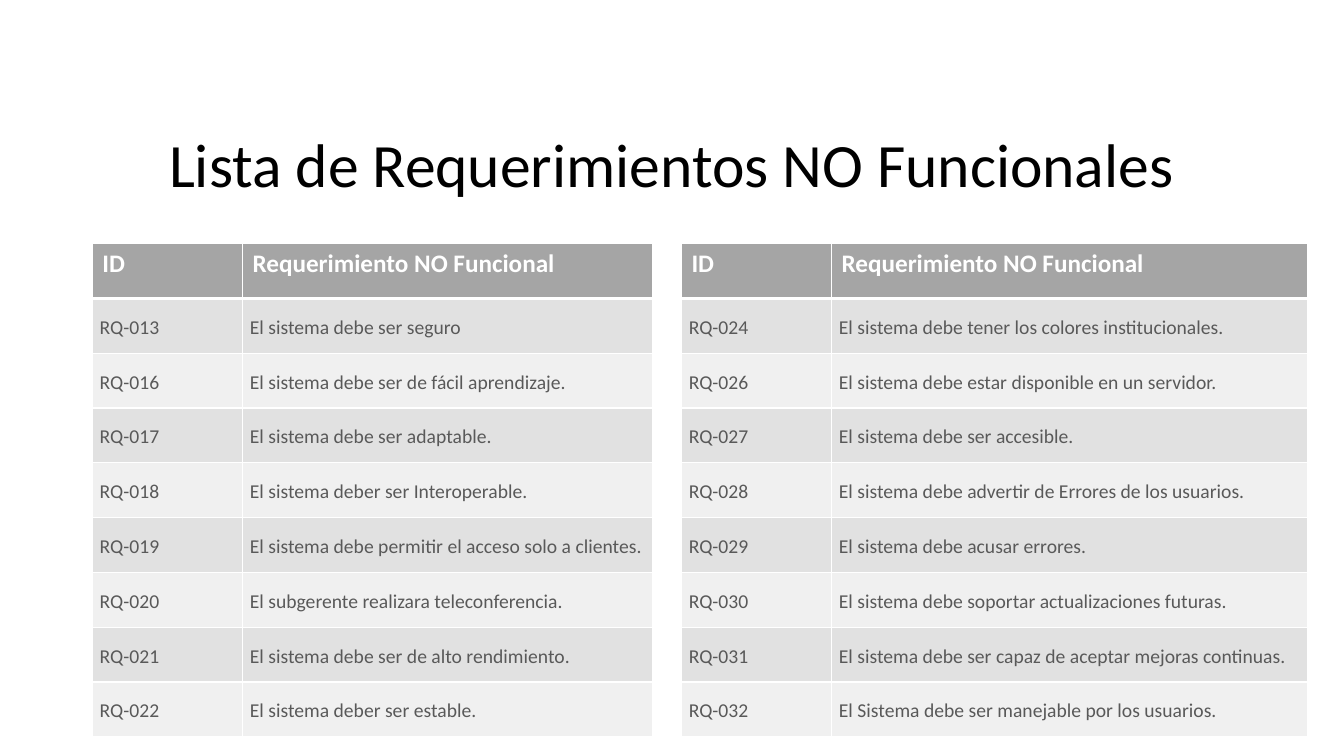
from dataclasses import dataclass

from lxml.etree import SubElement
from pptx import Presentation
from pptx.dml.color import RGBColor
from pptx.enum.text import MSO_ANCHOR as Anchor, PP_ALIGN as Align
from pptx.oxml.ns import qn
from pptx.util import Pt

EMU_PER_PX = 9525


@dataclass(frozen=True)
class Theme:
    font: str = "Calibri"
    title_size: int = 44
    header_size: int = 18
    body_size: int = 14
    title_color: str = "000000"
    header_color: str = "FFFFFF"
    body_color: str = "595959"
    border_color: str = "FFFFFF"
    header_fill: str = "A5A5A5"
    band_fills: tuple = ("E1E1E1", "F0F0F0")


THEME = Theme()
TITLE = "Lista de Requerimientos NO Funcionales"
HEADER = ("ID", "Requerimiento NO Funcional")
LEFT_REQUIREMENTS = [
    ("RQ-013", "El sistema debe ser seguro"),
    ("RQ-016", "El sistema debe ser de fácil aprendizaje."),
    ("RQ-017", "El sistema debe ser adaptable."),
    ("RQ-018", "El sistema deber ser Interoperable."),
    ("RQ-019", "El sistema debe permitir el acceso solo a clientes."),
    ("RQ-020", "El subgerente realizara teleconferencia."),
    ("RQ-021", "El sistema debe ser de alto rendimiento."),
    ("RQ-022", "El sistema deber ser estable."),
]
RIGHT_REQUIREMENTS = [
    ("RQ-024", "El sistema debe tener los colores institucionales."),
    ("RQ-026", "El sistema debe estar disponible en un servidor."),
    ("RQ-027", "El sistema debe ser accesible."),
    ("RQ-028", "El sistema debe advertir de Errores de los usuarios."),
    ("RQ-029", "El sistema debe acusar errores."),
    ("RQ-030", "El sistema debe soportar actualizaciones futuras."),
    ("RQ-031", "El sistema debe ser capaz de aceptar mejoras continuas."),
    ("RQ-032", "El Sistema debe ser manejable por los usuarios."),
]
TABLE_TOP = 232
TABLE_HEIGHT = 470


def px(length):
    return length * EMU_PER_PX


def format_runs(paragraph, size, color, bold=False):
    for run in paragraph.runs:
        run.font.name = THEME.font
        run.font.size = Pt(size)
        run.font.bold = bold
        run.font.color.rgb = RGBColor.from_string(color)


def set_borders(cell, bottom_width):
    properties = cell._tc.get_or_add_tcPr()
    widths = {"a:lnL": 1, "a:lnR": 1, "a:lnT": 1, "a:lnB": bottom_width}
    for position, (tag, width) in enumerate(widths.items()):
        line = SubElement(properties, qn(tag), w=str(Pt(width)))
        fill = SubElement(line, qn("a:solidFill"))
        SubElement(fill, qn("a:srgbClr"), val=THEME.border_color)
        properties.insert(position, line)


def fill_cell(cell, text, color):
    cell.text_frame.text = text
    cell.fill.solid()
    cell.fill.fore_color.rgb = RGBColor.from_string(color)
    return cell.text_frame.paragraphs[0]


def format_header_cell(cell, text):
    paragraph = fill_cell(cell, text, THEME.header_fill)
    format_runs(paragraph, THEME.header_size, THEME.header_color, bold=True)
    set_borders(cell, bottom_width=3)


def format_body_cell(cell, text, band):
    paragraph = fill_cell(cell, text, THEME.band_fills[band])
    paragraph.line_spacing = 1.15
    format_runs(paragraph, THEME.body_size, THEME.body_color)
    cell.vertical_anchor = Anchor.MIDDLE
    cell.margin_left = cell.margin_right = px(7)
    cell.margin_top = cell.margin_bottom = 0
    set_borders(cell, bottom_width=1)


def add_title(slide):
    title = slide.shapes.title
    title.left, title.top, title.width, title.height = map(px, (88, 110, 1104, 99))
    frame = title.text_frame
    frame.text = TITLE
    frame.word_wrap = True
    frame.vertical_anchor = Anchor.MIDDLE
    paragraph = frame.paragraphs[0]
    paragraph.alignment = Align.CENTER
    paragraph.line_spacing = 0.9
    format_runs(paragraph, THEME.title_size, THEME.title_color)


def add_requirements_table(slide, left, column_widths, requirements):
    table = slide.shapes.add_table(
        len(requirements) + 1, len(HEADER),
        px(left), px(TABLE_TOP), px(sum(column_widths)), px(TABLE_HEIGHT),
    ).table
    for column, width in zip(table.columns, column_widths):
        column.width = px(width)
    for column, text in enumerate(HEADER):
        format_header_cell(table.cell(0, column), text)
    for row, requirement in enumerate(requirements, start=1):
        for column, text in enumerate(requirement):
            format_body_cell(table.cell(row, column), text, (row - 1) % 2)


def main():
    presentation = Presentation()
    presentation.slide_width = px(1280)
    presentation.slide_height = px(720)
    slide = presentation.slides.add_slide(presentation.slide_layouts.get_by_name("Title Only"))
    add_title(slide)
    add_requirements_table(slide, 88, (143, 391), LEFT_REQUIREMENTS)
    add_requirements_table(slide, 649, (143, 453), RIGHT_REQUIREMENTS)
    presentation.save("out.pptx")


if __name__ == "__main__":
    main()
